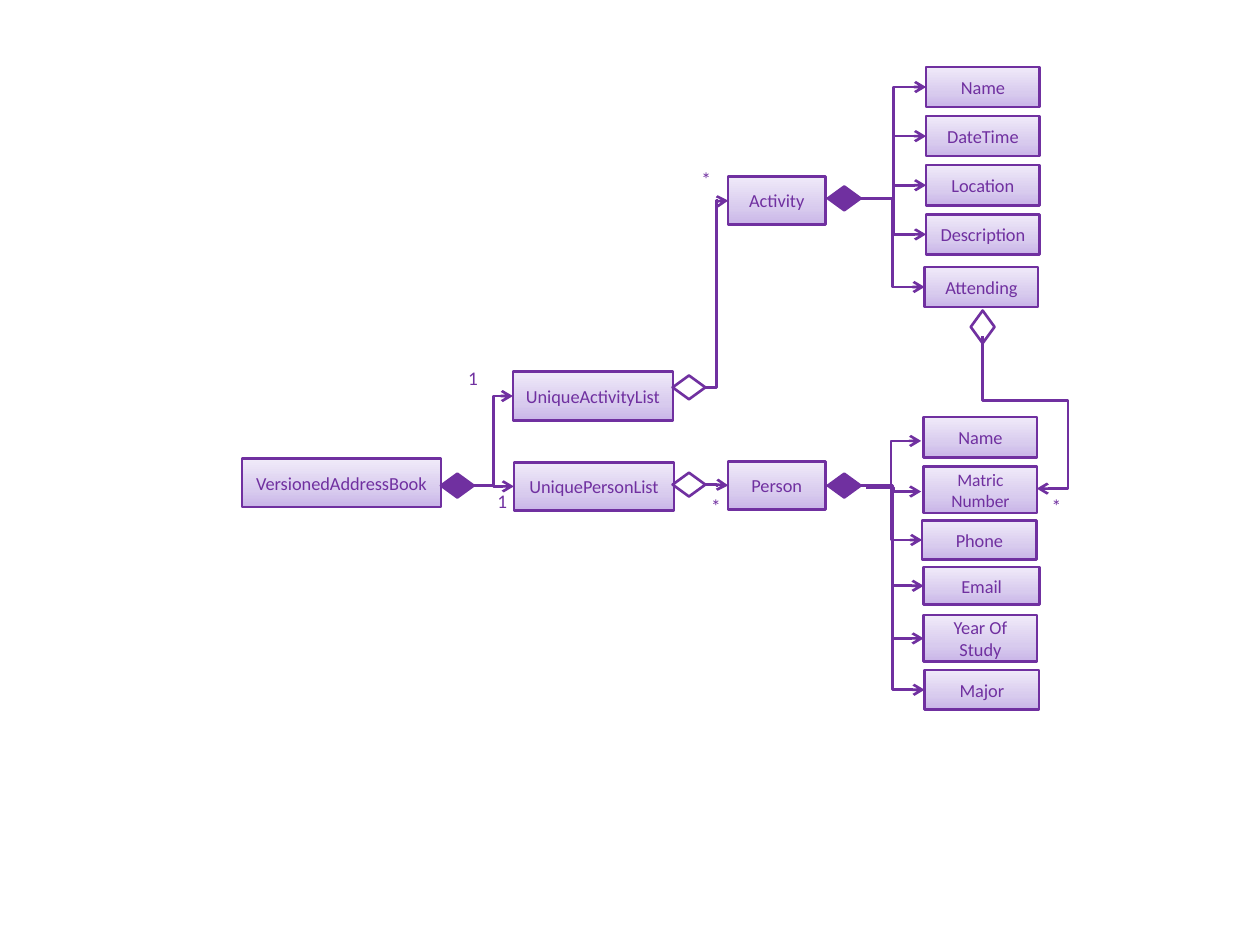
from copy import deepcopy
from dataclasses import dataclass

from lxml.etree import SubElement
from pptx import Presentation
from pptx.dml.color import RGBColor
from pptx.enum.shapes import MSO_CONNECTOR, MSO_SHAPE
from pptx.enum.text import MSO_ANCHOR, PP_ALIGN
from pptx.oxml.ns import qn
from pptx.util import Cm, Pt


@dataclass(frozen=True)
class Theme:
    font: str = "Calibri"
    ink: RGBColor = RGBColor(0x70, 0x30, 0xA0)
    gradient: tuple = ((0, "C9B5E8"), (0.35, "D8CBEE"), (1, "F0EAF9"))
    outline: float = 1.5
    class_size: float = 10.5
    small_size: float = 10
    label_size: float = 11


THEME = Theme()
RIGHT, LEFT = 3, 1


def write(frame, lines, size):
    frame.word_wrap = True
    for index, line in enumerate(lines):
        paragraph = frame.paragraphs[0] if index == 0 else frame.add_paragraph()
        paragraph.alignment = PP_ALIGN.CENTER
        run = paragraph.add_run()
        run.text = line
        run.font.name = THEME.font
        run.font.size = Pt(size)
        run.font.color.rgb = THEME.ink


def draw_outline(element):
    element.line.color.rgb = THEME.ink
    element.line.width = Pt(THEME.outline)


def fill_gradient(shape):
    shape.fill.gradient()
    shape.fill.gradient_angle = 90
    stop_list = shape._element.spPr.find(qn("a:gradFill")).find(qn("a:gsLst"))
    stop_list.insert(1, deepcopy(stop_list[0]))
    for stop, (position, color) in zip(shape.fill.gradient_stops, THEME.gradient):
        stop.position = position
        stop.color.rgb = RGBColor.from_string(color)


def add_class(slide, lines, left, top, width, height, size=THEME.class_size):
    box = slide.shapes.add_shape(
        MSO_SHAPE.RECTANGLE, Cm(left), Cm(top), Cm(width), Cm(height))
    box.shadow.inherit = False
    fill_gradient(box)
    draw_outline(box)
    box.text_frame.vertical_anchor = MSO_ANCHOR.MIDDLE
    write(box.text_frame, lines, size)
    return box


def add_diamond(slide, left, top, filled, rotation=0):
    diamond = slide.shapes.add_shape(
        MSO_SHAPE.FLOWCHART_DECISION, Cm(left), Cm(top), Cm(0.66), Cm(0.48))
    diamond.shadow.inherit = False
    diamond.rotation = rotation
    if filled:
        diamond.fill.solid()
        diamond.fill.fore_color.rgb = THEME.ink
    else:
        diamond.fill.background()
    draw_outline(diamond)
    return diamond


def add_arrow(slide, x1, y1, x2, y2):
    arrow = slide.shapes.add_connector(
        MSO_CONNECTOR.ELBOW, Cm(x1), Cm(y1), Cm(x2), Cm(y2))
    draw_outline(arrow)
    properties = arrow._element.spPr
    SubElement(properties.find(qn("a:ln")), qn("a:tailEnd"), type="arrow")
    SubElement(properties, qn("a:effectLst"))
    return arrow


def link(slide, diamond, target):
    arrow = add_arrow(slide, 0, 0, 1, 1)
    arrow.begin_connect(diamond, RIGHT)
    arrow.end_connect(target, LEFT)


def add_attendance_arrow(slide):
    arrow = add_arrow(slide, 18.82, 7.77, 21.89, 8.86)
    properties = arrow._element.spPr
    frame = properties.find(qn("a:xfrm"))
    frame.set("rot", "16200000")
    frame.set("flipH", "1")
    geometry = properties.find(qn("a:prstGeom"))
    geometry.set("prst", "bentConnector4")
    adjustments = geometry.find(qn("a:avLst"))
    for name, value in (("adj1", 42300), ("adj2", 157700)):
        SubElement(adjustments, qn("a:gd"), name=name, fmla=f"val {value}")


def add_multiplicity(slide, text, left, top):
    label = slide.shapes.add_textbox(Cm(left), Cm(top), Cm(0.53), Cm(0.51))
    frame = label.text_frame
    frame.margin_left = frame.margin_right = 0
    frame.margin_top = frame.margin_bottom = 0
    write(frame, [text], THEME.label_size)


def add_lists(slide):
    add_class(slide, ["VersionedAddressBook"], 4.88, 9.25, 4.01, 0.97)
    person_list = add_class(slide, ["UniquePersonList"], 10.36, 9.32, 3.23, 0.97)
    activity_list = add_class(slide, ["UniqueActivityList"], 10.34, 7.49, 3.23, 0.99)
    person = add_class(slide, ["Person"], 14.68, 9.3, 1.96, 0.97)
    activity = add_class(slide, ["Activity"], 14.68, 3.56, 1.96, 0.97)
    book_diamond = add_diamond(slide, 8.89, 9.55, True)
    link(slide, book_diamond, person_list)
    link(slide, book_diamond, activity_list)
    link(slide, add_diamond(slide, 13.56, 9.53, False), person)
    link(slide, add_diamond(slide, 13.56, 7.57, False), activity)


def add_activity_fields(slide):
    diamond = add_diamond(slide, 16.69, 3.76, True)
    for row, name in enumerate(("Name", "DateTime", "Location", "Description")):
        link(slide, diamond, add_class(slide, [name], 18.67, 1.35 + row * 0.99, 2.29, 0.81))
    link(slide, diamond, add_class(slide, ["Attending"], 18.64, 5.38, 2.29, 0.81))
    add_diamond(slide, 19.48, 6.35, False, 270)


def add_person_fields(slide):
    diamond = add_diamond(slide, 16.69, 9.55, True)
    add_class(slide, ["Name"], 18.62, 8.41, 2.29, 0.81)
    add_arrow(slide, 17.35, 9.8, 18.57, 8.89)
    add_class(slide, ["Matric", "Number"], 18.62, 9.4, 2.29, 0.94, THEME.small_size)
    add_arrow(slide, 17.45, 9.83, 18.57, 9.91)
    for name, left, top, width, height in (
        ("Phone", 18.59, 10.49, 2.31, 0.79),
        ("Email", 18.62, 11.43, 2.34, 0.76),
        ("Year Of Study", 18.62, 12.4, 2.29, 0.94),
        ("Major", 18.64, 13.51, 2.31, 0.79),
    ):
        link(slide, diamond, add_class(slide, [name], left, top, width, height))


def main():
    deck = Presentation()
    deck.slide_width, deck.slide_height = Cm(25.4), Cm(19.05)
    slide = deck.slides.add_slide(deck.slide_layouts[6])
    add_lists(slide)
    add_activity_fields(slide)
    add_person_fields(slide)
    add_attendance_arrow(slide)
    for text, left, top in (
        ("1", 9.86, 9.86),
        ("1", 9.27, 7.39),
        ("*", 14.17, 9.96),
        ("*", 13.97, 3.38),
        ("*", 21.03, 9.96),
    ):
        add_multiplicity(slide, text, left, top)
    deck.save("out.pptx")


if __name__ == "__main__":
    main()
